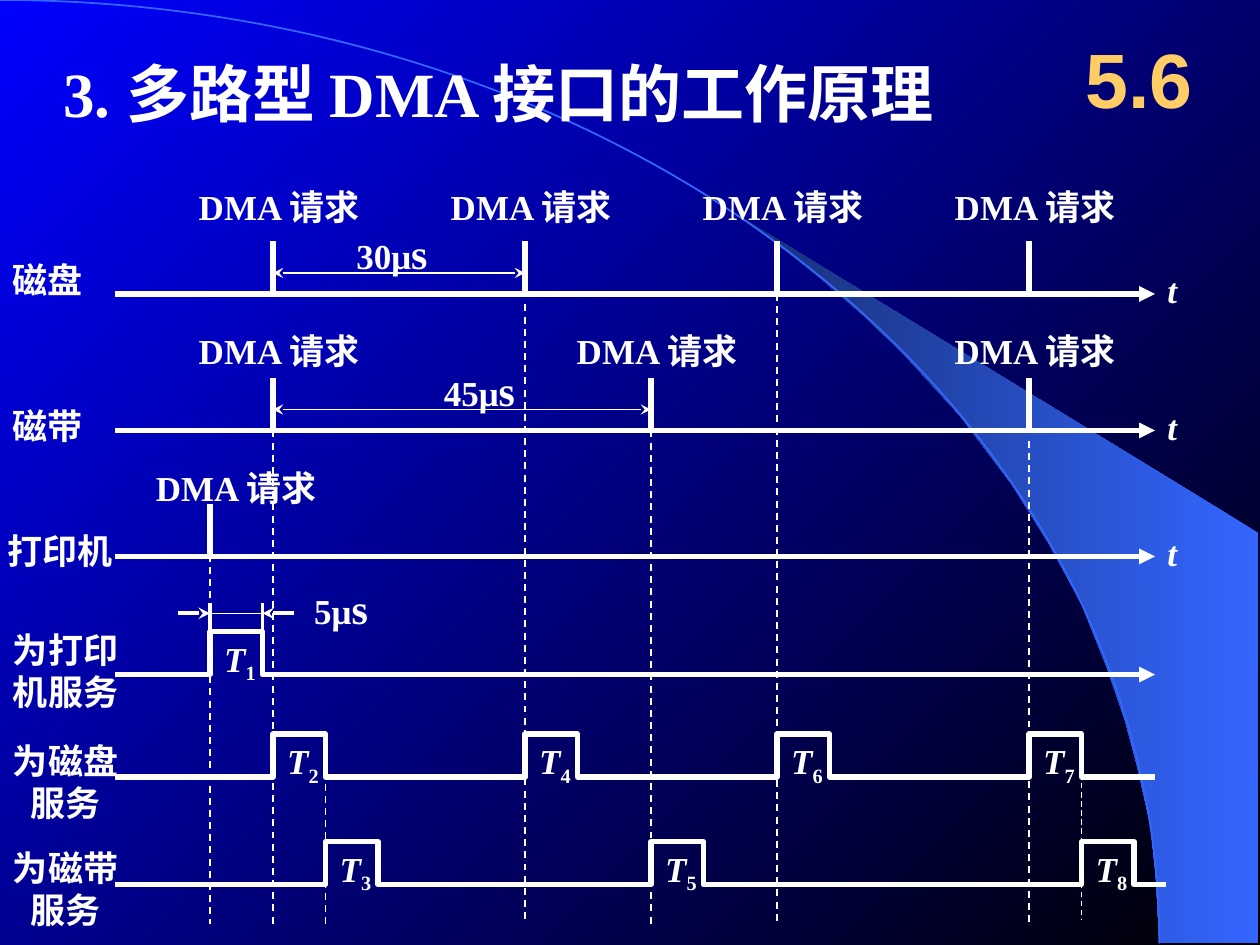
from dataclasses import dataclass

from lxml import etree
from pptx import Presentation, util as u
from pptx.dml.color import RGBColor
from pptx.enum import dml, shapes, text
from pptx.oxml.ns import qn

HUES = {"ink": "FFFFFF", "gold": "FFCC66", "blue": "3366FF",
        "dusk": "172F75", "night": "000000", "sky": "0000FF"}
SERIF, SANS = "Times New Roman", "Arial"
LEFT, RIGHT = 66, 660  # ends of every time axis
PULSE = 30             # width of one service pulse
RISE = 24.5            # height of one service pulse
TICK = 30              # height of one request mark


@dataclass
class Run:
    words: str
    size: float = 20
    slant: bool = False
    sub: bool = False
    font: str = SERIF
    hue: str = "ink"


@dataclass
class Axis:
    """A device's time axis with its DMA requests."""
    name: str
    place: tuple[float, float, float]  # left, top and width of the name
    y: float
    ticks: list[float]
    shift: float  # from a tick left to its request label
    lift: float   # from the axis up to the request labels


@dataclass
class Span:
    """The time between two requests."""
    count: str
    start: float
    end: float
    y: float
    left: float
    top: float


@dataclass
class Serve:
    """A service row: pulses map a number to its starting x."""
    lines: list[str]
    top: float
    y: float
    end: float
    pulses: dict[int, float]
    arrow: bool = False


AXES = [
    Axis("磁盘", (0, 144, 56), 168, [156, 300, 444, 588], 49.5, 65.5),
    Axis("磁带", (0, 227.5, 56), 246, [156, 372, 588], 49.5, 61),
    Axis("打印机", (-3, 299, 76), 318, [120], 38, 55),
]
SPANS = [Span("30", 156, 300, 156, 196.5, 126.7),
         Span("45", 156, 372, 234, 246.5, 205)]
ROWS = [
    Serve(["为打印", "机服务"], 355.7, 385.5, RIGHT, {1: 120}, True),
    Serve(["为磁盘", "服务"], 419, 444, RIGHT, {2: 156, 4: 300, 6: 444, 7: 588}),
    Serve(["为磁带", "服务"], 480, 505.5, 666, {3: 186, 5: 372, 8: 618}),
]
# x, top, bottom, weight
GUIDES = [(156, 246, 528, 1), (300, 174, 528, 1), (444, 168, 528, 1),
          (588, 252, 528, 1), (372, 246, 528, 1), (120, 317, 528, 1),
          (186, 420, 528, 1), (618, 427, 525.5, 0.75)]
BEAM = [(662.5, 538.5), (719, 539), (719, 304.5), (424, 124.5), (449, 143),
        (470, 160), (493, 180), (515.5, 201.5), (548.5, 237.5), (578, 276.5),
        (599, 310), (618, 345), (632, 380), (643, 412), (650, 438.5),
        (657.5, 472), (660.5, 501)]


def paint(hue: str) -> RGBColor:
    return RGBColor.from_string(HUES[hue])


def blend(fill, first: str, last: str, angle: float) -> None:
    fill.gradient()
    fill.gradient_angle = angle
    for stop, hue, pos in zip(fill.gradient_stops, (first, last), (0, 1)):
        stop.color.rgb, stop.position = paint(hue), pos


def stroke(item, weight: float, hue: str = "ink", head: str = "", tail: str = "") -> None:
    item.line.color.rgb = paint(hue)
    item.line.width = u.Pt(weight)
    for tag, kind in (("a:headEnd", head), ("a:tailEnd", tail)):
        if kind:
            etree.SubElement(item.line._get_or_add_ln(), qn(tag)).set("type", kind)


def rule(slide, x1: float, y1: float, x2: float, y2: float, weight: float,
         dash: bool = False, head: str = "", tail: str = "") -> None:
    line = slide.shapes.add_connector(shapes.MSO_CONNECTOR.STRAIGHT,
                                      *map(u.Pt, (x1, y1, x2, y2)))
    if dash:
        line.line.dash_style = dml.MSO_LINE.DASH
    stroke(line, weight, head=head, tail=tail)
    etree.SubElement(line._element.spPr, qn("a:effectLst"))


def trace(slide, points: list[tuple[float, float]], close: bool):
    spots = [(u.Pt(x), u.Pt(y)) for x, y in points]
    pen = slide.shapes.build_freeform(*spots[0])
    pen.add_line_segments(spots[1:], close=close)
    shape = pen.convert_to_shape()
    shape.shadow.inherit = False
    return shape


def write(box, paras: list[list[Run]], align=text.PP_ALIGN.LEFT) -> None:
    frame = box.text_frame
    frame.word_wrap = False
    frame.auto_size = text.MSO_AUTO_SIZE.SHAPE_TO_FIT_TEXT
    frame.vertical_anchor = text.MSO_ANCHOR.TOP
    for i, runs in enumerate(paras):
        para = frame.add_paragraph() if i else frame.paragraphs[0]
        para.alignment = align
        for part in runs:
            run = para.add_run()
            run.text = part.words
            font = run.font
            font.name, font.size, font.bold = part.font, u.Pt(part.size), True
            font.italic = part.slant
            font.color.rgb = paint(part.hue)
            if part.sub:
                font._element.set("baseline", "-25000")


def label(slide, left: float, top: float, wide: float, high: float,
          *paras: list[Run], align=text.PP_ALIGN.LEFT) -> None:
    box = slide.shapes.add_textbox(*map(u.Pt, (left, top, wide, high)))
    write(box, list(paras), align)


def micro(slide, count: str, left: float, top: float, wide: float) -> None:
    """Label a duration in microseconds."""
    label(slide, left, top, wide, 36, [Run(count + "μ"), Run("s", 24)])


def draw_axis(slide, axis: Axis) -> None:
    rule(slide, LEFT, axis.y, RIGHT, axis.y, 3, tail="triangle")
    for x in axis.ticks:
        rule(slide, x, axis.y - TICK, x, axis.y, 3)
        label(slide, x - axis.shift, axis.y - axis.lift, 113, 31.5, [Run("DMA 请求")])
    label(slide, *axis.place, 31.5, [Run(axis.name)])
    label(slide, RIGHT, axis.y - 18, 21, 31.5, [Run("t", slant=True)])


def draw_row(slide, row: Serve) -> None:
    high = row.y - RISE
    points = [(LEFT, row.y)]
    for x in row.pulses.values():
        points += [(x, row.y), (x, high), (x + PULSE, high), (x + PULSE, row.y)]
    wave = trace(slide, points + [(row.end, row.y)], False)
    wave.fill.background()
    stroke(wave, 3, tail="triangle" if row.arrow else "")
    for number, x in row.pulses.items():
        label(slide, x + 1, high - 0.5, 34, 34.5,
              [Run("T", slant=True), Run(str(number), sub=True)])
    label(slide, -1, row.top, 77, 55.4, *[[Run(part)] for part in row.lines],
          align=text.PP_ALIGN.CENTER)


def draw_width(slide, x: float, y: float) -> None:
    """Mark the width of the first pulse."""
    end = x + PULSE
    for side in (x, end):
        rule(slide, side, y - 6, side, y + 12, 2.25)
    rule(slide, x, y, end, y, 0.75)
    for start, tip in ((x - 18, x), (end + 18, end)):
        rule(slide, start, y, tip, y, 2.25, tail="stealth")
    micro(slide, "5", 172.5, y - 21, 50)


def main() -> None:
    deck = Presentation()
    deck.slide_width, deck.slide_height = u.Pt(720), u.Pt(540)
    slide = deck.slides.add_slide(deck.slide_layouts[5])
    blend(slide.background.fill, "night", "sky", 135)

    beam = trace(slide, BEAM, True)
    blend(beam.fill, "blue", "dusk", 180)
    beam.line.fill.background()
    arc = slide.shapes.add_shape(shapes.MSO_SHAPE.ARC,
                                 *map(u.Pt, (-662.5, 0, 1325, 1078)))
    arc.shadow.inherit = False
    arc.fill.background()
    stroke(arc, 1, "blue")

    title = slide.shapes.title
    title.left, title.top, title.width, title.height = map(u.Pt, (29, 27.5, 541, 50.5))
    write(title, [[Run("3. 多路型 DMA 接口的工作原理", 36)]])
    slide.shapes._spTree.append(title._element)
    label(slide, 606, 14.5, 90, 61, [Run("5.6", 44, font=SANS, hue="gold")],
          align=text.PP_ALIGN.CENTER)

    for row in ROWS:
        draw_row(slide, row)
    draw_width(slide, 120, 350.5)
    for x, top, base, weight in GUIDES:
        rule(slide, x, top, x, base, weight, dash=True)
    for axis in AXES:
        draw_axis(slide, axis)
    for span in SPANS:
        rule(slide, span.start, span.y, span.end, span.y, 1, head="stealth", tail="stealth")
        micro(slide, span.count, span.left, span.top, 60)
    deck.save("out.pptx")


if __name__ == "__main__":
    main()
